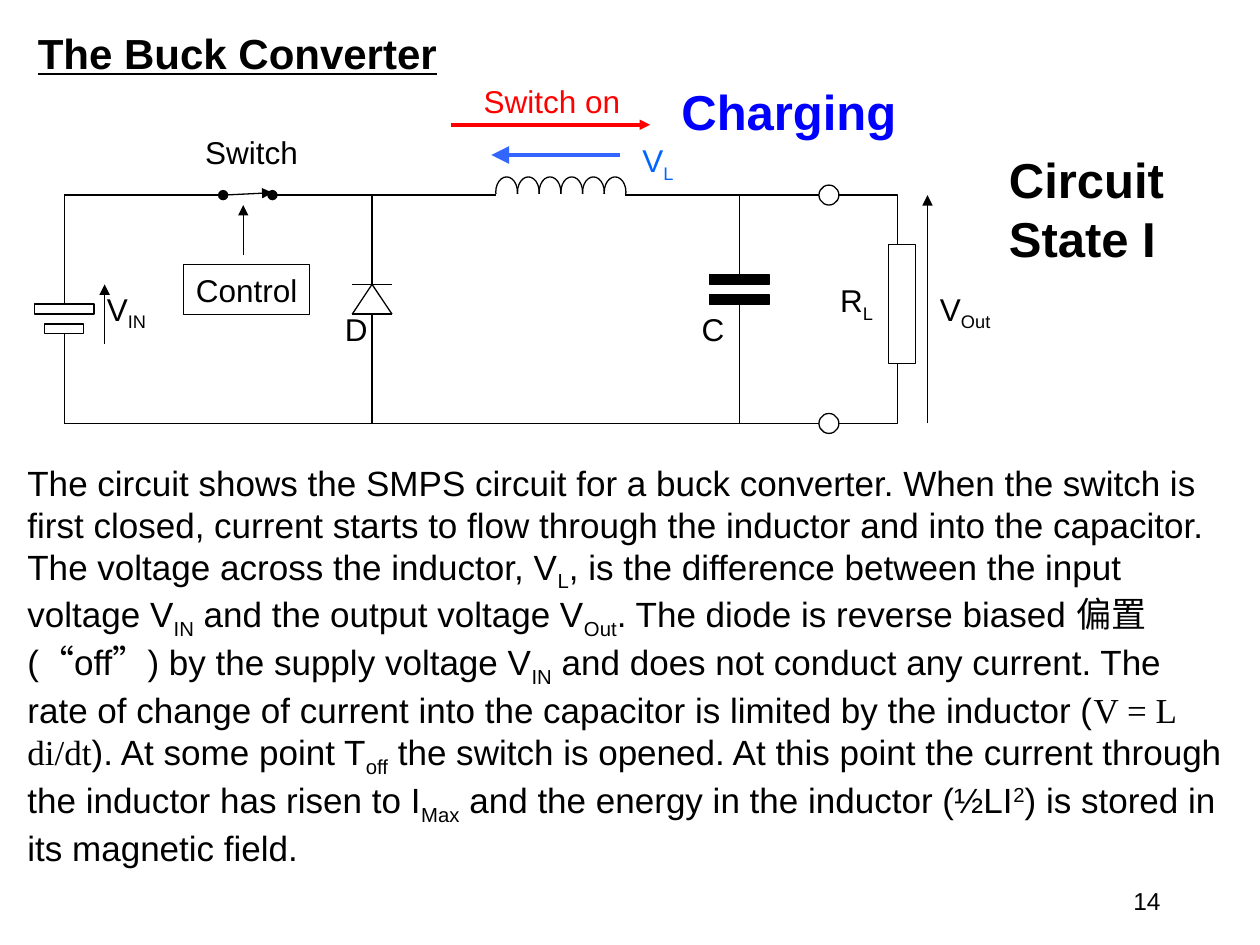
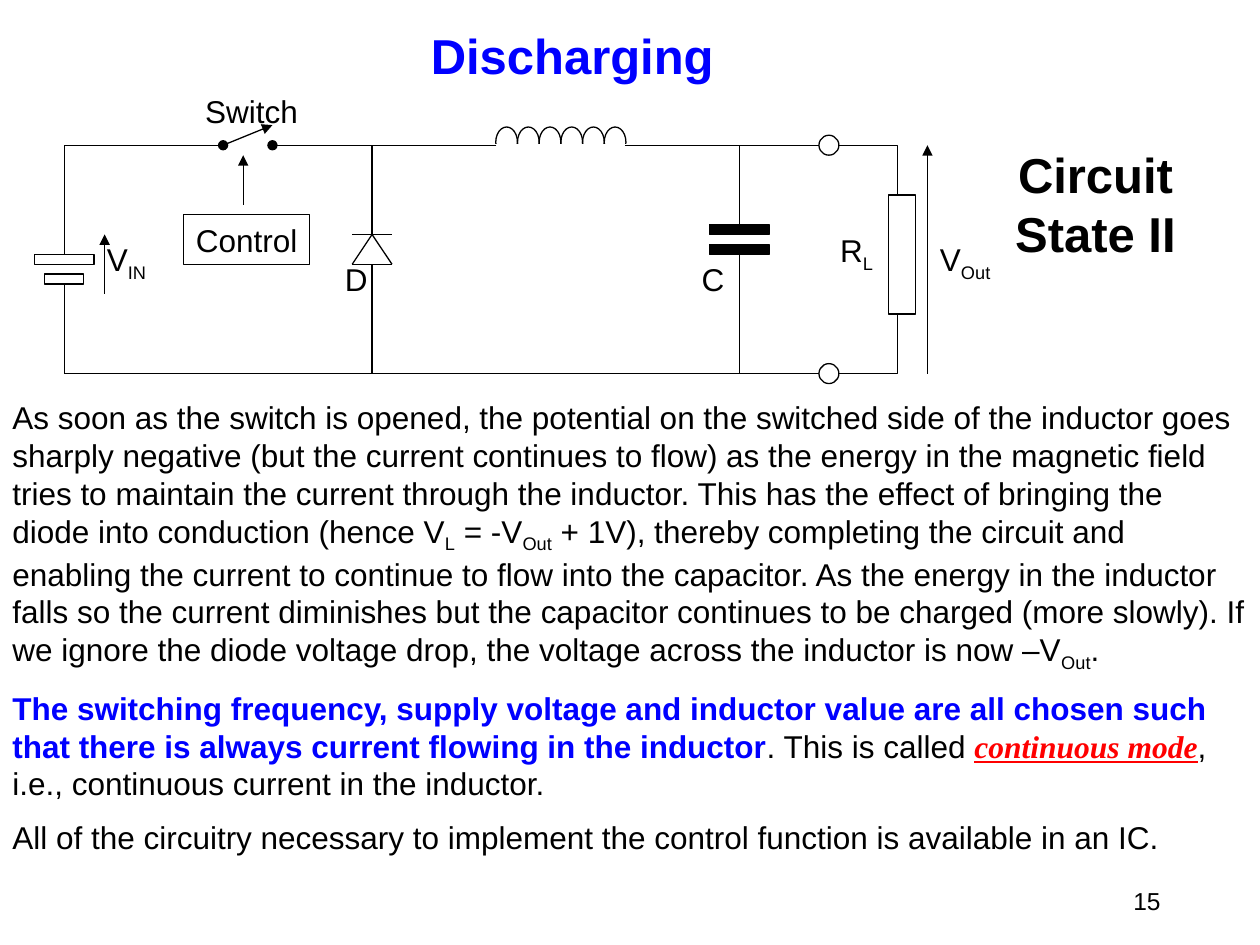
from pptx import Presentation
from pptx.dml.color import RGBColor
from pptx.enum.shapes import MSO_CONNECTOR as Link, MSO_SHAPE as Form
from pptx.enum.text import MSO_ANCHOR as Anchor, MSO_AUTO_SIZE as Fit, PP_ALIGN as Align
from pptx.oxml.ns import qn
from pptx.util import Pt
from lxml.etree import SubElement

hue = RGBColor.from_string
BLACK, WHITE, BLUE, RED = "000000", "FFFFFF", "0000FF", "FF0000"
SHIFT = {"sub": "-25000", "sup": "30000"}


def write(box, texts, size=18, color=BLACK, bold=False, align=Align.LEFT, wrap=True,
          anchor=Anchor.TOP, fit=Fit.SHAPE_TO_FIT_TEXT):
    frame = box.text_frame
    frame.word_wrap = wrap
    frame.auto_size = fit
    frame.vertical_anchor = anchor
    for i, runs in enumerate(texts):
        para = frame.add_paragraph() if i else frame.paragraphs[0]
        para.alignment = align
        para.space_before = Pt(9 if i else 0)
        for part in runs:
            text, mark = (part, "") if isinstance(part, str) else part
            run = para.add_run()
            run.text = text
            font = run.font
            font.name = "Times New Roman" if mark in ("serif", "mode") else "Arial"
            font.size = Pt(size)
            font.bold = bold or mark in ("key", "mode")
            font.italic = mark == "mode"
            font.underline = mark in ("mode", "line")
            font.color.rgb = hue({"key": BLUE, "mode": RED}.get(mark, color))
            if mark in SHIFT:
                run._r.get_or_add_rPr().set("baseline", SHIFT[mark])


def wire(slide, x1, y1, x2, y2, tip=None, color=BLACK, width=0.75, head="med"):
    line = slide.shapes.add_connector(Link.STRAIGHT, Pt(x1), Pt(y1), Pt(x2), Pt(y2))
    line.line.color.rgb = hue(color)
    line.line.width = Pt(width)
    if tip:
        SubElement(line.line._get_or_add_ln(), qn("a:tailEnd"), type=tip, w=head, len=head)
    SubElement(line._element.spPr, qn("a:effectLst"))
    return line


charge = [[
    "The circuit shows the SMPS circuit for a buck converter. When the switch is first closed, "
    "current starts to flow through the inductor and into the capacitor. The voltage across the "
    "inductor, V", ("L", "sub"), ", is the difference between the input voltage V", ("IN", "sub"),
    " and the output voltage V", ("Out", "sub"),
    ". The diode is reverse biased 偏置 (“off”) by the supply voltage V", ("IN", "sub"),
    " and does not conduct any current. The rate of change of current into the capacitor is "
    "limited by the inductor (", ("V = L di/dt", "serif"), "). At some point T", ("off", "sub"),
    " the switch is opened. At this point the current through the inductor has risen to I",
    ("Max", "sub"), " and the energy in the inductor (½LI", ("2", "sup"),
    ") is stored in its magnetic field."]]
drain = [[
    "As soon as the switch is opened, the potential on the switched side of the inductor goes "
    "sharply negative (but the current continues to flow) as the energy in the magnetic field "
    "tries to maintain the current through the inductor. This has the effect of bringing the "
    "diode into conduction (hence V", ("L", "sub"), " = -V", ("Out", "sub"),
    " + 1V), thereby completing the circuit and enabling the current to continue to flow into "
    "the capacitor. As the energy in the inductor falls so the current diminishes but the "
    "capacitor continues to be charged (more slowly). If we ignore the diode voltage drop, the "
    "voltage across the inductor is now –V", ("Out", "sub"), "."],
    [("The switching frequency, supply voltage and inductor value are all chosen such that there "
      "is always current flowing in the inductor", "key"), ". This is called ",
     ("continuous mode", "mode"), ", i.e., continuous current in the inductor."],
    ["All of the circuitry necessary to implement the control function is available in an IC."]]

states = [
    dict(page="14", top=111.5, tip=-1.4, switch=-38.8,
         title=[("The Buck Converter", "line")], place=(14.4, 12.2, 698, 37), size=24, color=BLACK,
         state="Circuit State I", spot=(569.5, 82, 128, 75), align=Align.LEFT,
         body=charge, area=(8.6, 260, 698, 225), point=20),
    dict(page="15", top=83, tip=-11.5, switch=-34,
         title=["Discharging"], place=(239, 10.8, 200, 41), size=28, color=BLUE,
         state="Circuit State II", spot=(562.3, 79.2, 127.4, 75), align=Align.CENTER,
         body=drain, area=(0, 224, 720, 267), point=18)]

LOW = 130.5
coils = [(Form.OVAL, 283.3 + 12.4 * i, -10.4, 12.4, 17.3, None, BLACK) for i in range(6)]
parts = coils + [
    (Form.RECTANGLE, 274.7, -0.4, 103, 14.4, WHITE, WHITE),
    (Form.RECTANGLE, 507.6, 28.4, 15.4, 68, WHITE, BLACK),
    (Form.OVAL, 468, -5.7, 11.4, 11.4, None, BLACK),
    (Form.OVAL, 468, LOW - 5.7, 11.4, 11.4, None, BLACK),
    (Form.RECTANGLE, 19.7, 62.3, 34, 5.7, None, BLACK),
    (Form.RECTANGLE, 25.5, 73.6, 22.4, 5.7, None, BLACK),
    (Form.RECTANGLE, 405.5, 45.3, 34, 5.7, BLACK, BLACK),
    (Form.RECTANGLE, 405.5, 56.7, 34, 5.7, BLACK, BLACK),
    (Form.RECTANGLE, 105, 39.7, 72, 28.4, None, BLACK)]
wires = [
    (59.8, 85, 59.8, 51, "triangle"),
    (36.7, 0, 127.5, 0, "oval"),
    (357.1, 0, 382.3, 0), (283.7, 0, 262, 0),
    (263.5, 0, 155.7, 0, "oval"),
    (382.3, 0, 468, 0), (36.7, LOW, 468, LOW),
    (201.3, 68, 224, 68), (224, 68, 212.6, 51), (201.3, 68, 212.6, 51), (201.3, 51, 224, 51),
    (212.6, 68, 212.6, LOW), (212.6, 51, 212.6, 0),
    (139, 34, 139, 5.7, "triangle"),
    (530, LOW, 530, 0, "triangle")]
labels = [
    (54, 50.4, 38, ["V", ("IN", "sub")]), (190, 62, 27.4, ["D"]), (393.8, 62, 27.4, ["C"]),
    (473, 45.4, 34, ["R", ("L", "sub")]), (530, 50.4, 46, ["V", ("Out", "sub")])]

prs = Presentation()
prs.slide_width, prs.slide_height = Pt(720), Pt(540)

for state in states:
    slide = prs.slides.add_slide(prs.slide_layouts[5])
    shapes = slide.shapes
    top = state["top"]
    title = shapes.title
    title.left, title.top, title.width, title.height = map(Pt, state["place"])
    write(title, [state["title"]], state["size"], state["color"], bold=True)

    pen = shapes.build_freeform(Pt(479), Pt(top))
    pen.add_line_segments([(Pt(513), Pt(top)), (Pt(513), Pt(top + LOW)),
                           (Pt(479), Pt(top + LOW))], close=False)
    load = pen.convert_to_shape()
    load.shadow.inherit = False
    load.fill.background()
    load.line.color.rgb = hue(BLACK)
    load.line.width = Pt(0.75)

    drawn = []
    for form, x, y, w, h, fill, edge in parts:
        part = shapes.add_shape(form, Pt(x), Pt(top + y), Pt(w), Pt(h))
        part.shadow.inherit = False
        if fill:
            part.fill.solid()
            part.fill.fore_color.rgb = hue(fill)
        else:
            part.fill.background()
        part.line.color.rgb = hue(edge)
        part.line.width = Pt(0.75)
        drawn.append(part)
    plus, minus, upper, lower, control = drawn[-5:]
    write(control, [["Control"]], align=Align.CENTER, wrap=False, anchor=Anchor.MIDDLE, fit=Fit.NONE)

    for x1, y1, x2, y2, *tip in wires + [(127.5, 0, 155.7, state["tip"], "triangle")]:
        wire(slide, x1, top + y1, x2, top + y2, *tip)
    for x, y, plate, side in [(36.7, 0, plus, 0), (36.7, LOW, minus, 2),
                              (422.5, 0, upper, 0), (422.5, LOW, lower, 2)]:
        wire(slide, x, top + y, x, top + 65).end_connect(plate, side)

    for x, y, w, text in labels + [(110.2, state["switch"], 67.7, ["Switch"])]:
        write(shapes.add_textbox(Pt(x), Pt(top + y), Pt(w), Pt(29)), [text], wrap=False)

    body = shapes.add_textbox(*map(Pt, state["area"]))
    write(body, state["body"], state["point"])
    name = shapes.add_textbox(*map(Pt, state["spot"]))
    write(name, [[state["state"]]], 28, bold=True, align=state["align"])
    page = shapes.add_textbox(Pt(508.3), Pt(500.4), Pt(162), Pt(28.8))
    write(page, [[state["page"]]], 14, align=Align.RIGHT, anchor=Anchor.MIDDLE, fit=Fit.NONE)

first = prs.slides[0]
wire(first, 257.8, 71.3, 371.5, 71.3, "triangle", RED, 2)
wire(first, 354.3, 88.6, 280.8, 88.6, "triangle", "3366FF", 2, "lg")
for x, y, w, text, size, color in [
        (269.3, 43.2, 100, ["Switch on"], 18, RED),
        (360, 77, 33, ["V", ("L", "sub")], 18, "0066FF"),
        (382.3, 43.2, 154, ["Charging"], 28, BLUE)]:
    note = first.shapes.add_textbox(Pt(x), Pt(y), Pt(w), Pt(size * 1.5))
    write(note, [text], size, color, bold=size == 28)

prs.save("out.pptx")
